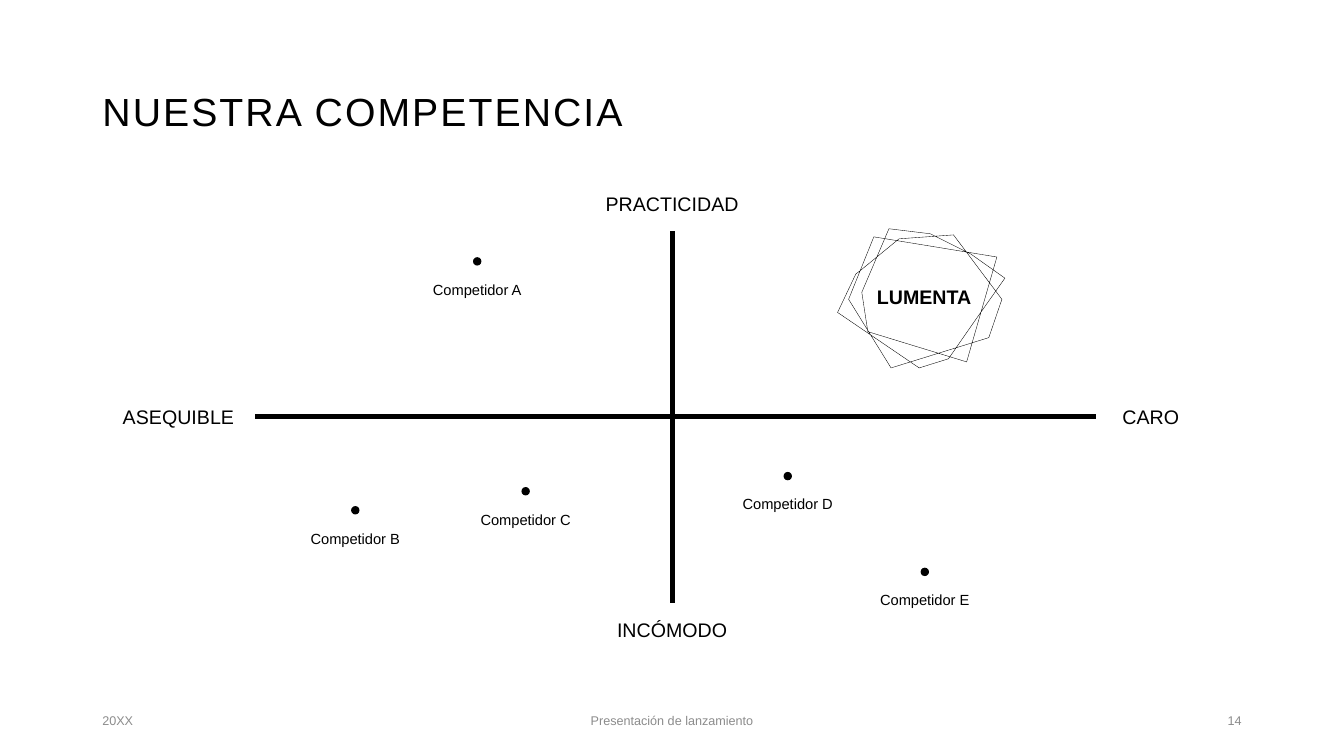
from dataclasses import dataclass

from lxml.etree import SubElement
from pptx import Presentation
from pptx.dml.color import RGBColor
from pptx.enum.shapes import MSO_CONNECTOR as Connector, MSO_SHAPE as Shape
from pptx.enum.text import MSO_ANCHOR as Anchor, MSO_AUTO_SIZE as AutoSize, PP_ALIGN as Align
from pptx.oxml.ns import qn
from pptx.util import Pt


@dataclass(frozen=True)
class Theme:
    font: str = "Arial"
    ink: RGBColor = RGBColor(0x00, 0x00, 0x00)
    muted: RGBColor = RGBColor(0x8C, 0x8C, 0x8C)
    title: float = 28
    label: float = 14
    competitor: float = 10.5
    footer: float = 9
    axis_width: float = 3.5
    outline_width: float = 0.25


THEME = Theme()
TOP, LEFT, BOTTOM, RIGHT = range(4)

COMPETITORS = [
    ("Competidor A", 340.9, 187.2),
    ("Competidor B", 253.8, 365),
    ("Competidor C", 375.5, 351.4),
    ("Competidor D", 562.7, 340.6),
    ("Competidor E", 660.6, 409),
]
BADGE = [
    (642.2, 170.6), (614.9, 193), (611.3, 195.8), (598.3, 223.2),
    (656.6, 262.8), (677.5, 256.3), (697, 228.2), (717.8, 198.7),
    (693.4, 181.4), (664.6, 167), (635, 163.4), (615.6, 208.8),
    (619.9, 236.9), (690.5, 258.5), (712.1, 183.6), (624.2, 169.2),
    (606.2, 213.8), (636.5, 262.8), (706.3, 241.2), (715.7, 213.8),
    (681.1, 167.8),
]
FOOTERS = [
    ("20XX", 66, 216, Align.LEFT),
    ("Presentación de lanzamiento", 318, 324, Align.CENTER),
    ("14", 678, 216, Align.RIGHT),
]


def write(box, text, *, size, color=THEME.ink, bold=False, align=Align.CENTER):
    frame = box.text_frame
    frame.word_wrap = True
    frame.auto_size = AutoSize.NONE
    frame.vertical_anchor = Anchor.MIDDLE
    para = frame.paragraphs[0]
    para.alignment = align
    span = para.add_run()
    span.text = text
    span.font.name = THEME.font
    span.font.size = Pt(size)
    span.font.bold = bold
    span.font.color.rgb = color
    return para, span


def add_text(page, text, left, top, width, height, **style):
    box = page.shapes.add_textbox(Pt(left), Pt(top), Pt(width), Pt(height))
    write(box, text, **style)
    return box


def add_title(page, text):
    box = page.shapes.title
    box.left, box.top, box.width, box.height = Pt(66), Pt(29), Pt(828), Pt(104)
    para, span = write(box, text, size=THEME.title, align=Align.LEFT)
    para.line_spacing = 0.9
    span.font._element.set("spc", "150")


def add_axis(page, start, end):
    axis = page.shapes.add_connector(Connector.STRAIGHT, *map(Pt, start + end))
    axis.line.color.rgb = THEME.ink
    axis.line.width = Pt(THEME.axis_width)
    SubElement(axis._element.spPr, qn("a:effectLst"))
    return axis


def add_competitor(page, name, center, top):
    diameter, width = 6, 93
    dot = page.shapes.add_shape(
        Shape.OVAL, Pt(center - diameter / 2), Pt(top - 0.5 - diameter / 2),
        Pt(diameter), Pt(diameter))
    dot.shadow.inherit = False
    dot.fill.solid()
    dot.fill.fore_color.rgb = THEME.ink
    dot.line.fill.background()
    add_text(page, name, center - width / 2, top, width, 39, size=THEME.competitor)


def add_badge(page, points):
    start, *rest = [(Pt(x), Pt(y)) for x, y in points]
    builder = page.shapes.build_freeform(*start)
    builder.add_line_segments(rest, close=True)
    badge = builder.convert_to_shape()
    badge.shadow.inherit = False
    badge.fill.background()
    badge.line.color.rgb = THEME.ink
    badge.line.width = Pt(THEME.outline_width)


def add_axes(page):
    practical = add_text(page, "PRACTICIDAD", 412.6, 126, 135, 39, size=THEME.label)
    awkward = add_text(page, "INCÓMODO", 412.6, 430.6, 135, 39, size=THEME.label)
    affordable = add_text(page, "ASEQUIBLE", 72.7, 278, 109.5, 39, size=THEME.label)
    add_text(page, "CARO", 767.5, 278, 109, 39, size=THEME.label)
    price = add_axis(page, (182.2, 297.5), (782.6, 297.5))
    price.begin_connect(affordable, RIGHT)
    comfort = add_axis(page, (480.1, 430.6), (480.1, 165))
    comfort.begin_connect(awkward, TOP)
    comfort.end_connect(practical, BOTTOM)


def main():
    deck = Presentation()
    deck.slide_width, deck.slide_height = Pt(960), Pt(540)
    page = deck.slides.add_slide(deck.slide_layouts[5])
    add_title(page, "NUESTRA COMPETENCIA")
    add_axes(page)
    for name, center, top in COMPETITORS:
        add_competitor(page, name, center, top)
    add_badge(page, BADGE)
    add_text(page, "LUMENTA", 592.6, 170.6, 135, 83, size=THEME.label, bold=True)
    for text, left, width, align in FOOTERS:
        add_text(page, text, left, 500.4, width, 29,
                 size=THEME.footer, color=THEME.muted, align=align)
    deck.save("out.pptx")


if __name__ == "__main__":
    main()
